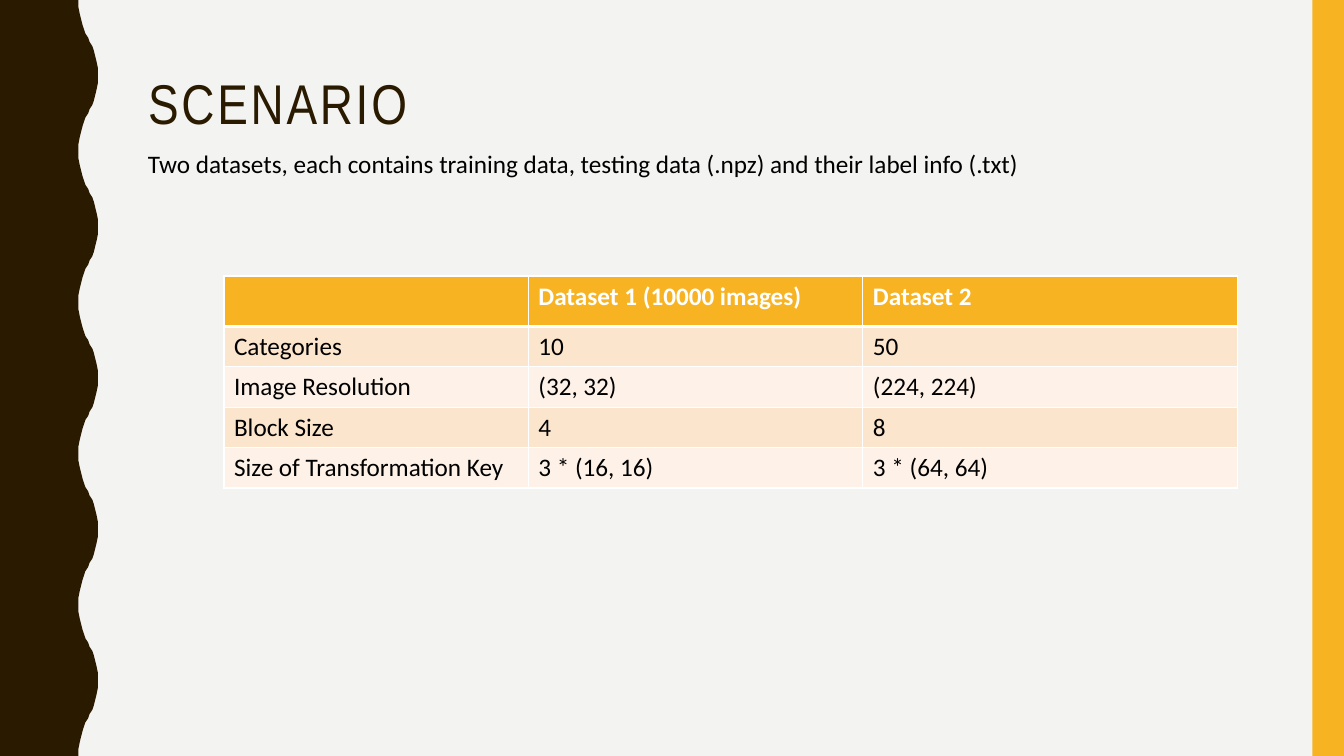
from lxml import etree
from pptx import Presentation
from pptx.dml.color import RGBColor
from pptx.enum import shapes, text
from pptx.oxml import ns
from pptx.util import Pt

TITLE = "SCENARIO"
SUBTITLE = ("Two datasets, each contains training data, testing data (.npz) "
            "and their label info (.txt)")
ROWS = [
    ("", "Dataset 1 (10000 images)", "Dataset 2"),
    ("Categories", "10", "50"),
    ("Image Resolution", "(32, 32)", "(224, 224)"),
    ("Block Size", "4", "8"),
    ("Size of Transformation Key", "3 * (16, 16)", "3 * (64, 64)"),
]

BACKGROUND = RGBColor(0xF3, 0xF3, 0xF2)
BROWN = RGBColor(0x2A, 0x1A, 0x00)
AMBER = RGBColor(0xF8, 0xB3, 0x23)
BANDS = RGBColor(0xFC, 0xE5, 0xCD), RGBColor(0xFE, 0xF2, 0xE8)
BLACK = RGBColor(0, 0, 0)
WHITE = RGBColor(0xFF, 0xFF, 0xFF)

WIDTH, HEIGHT = 960, 540
TEXT_LEFT, TEXT_WIDTH = 98.6, 777.6
TABLE_LEFT, TABLE_TOP = 160, 197.2
COL_WIDTHS = 217.4, 239, 267.8
ROW_HEIGHTS = [36] + [27.4] * 4
BAR_WIDTH = 22.5

# Half a wave as (x, y), from trough to crest; the other half mirrors it.
WAVE_LENGTH, WAVE_COUNT = 108, 5
HALF_WAVE = [(56, 0), (56.4, 5), (57, 10), (57.8, 14.4), (58.6, 18),
             (59.8, 21), (61.2, 24), (62.6, 27), (64.1, 30), (65.5, 33),
             (66.9, 36), (68.2, 39.6), (69.2, 44), (69.8, 49), (70, 54)]


def write(tf, content, font="Calibri", size=18, color=BLACK, bold=False,
          spacing=None, line_spacing=None):
    p = tf.paragraphs[0]
    p.alignment = text.PP_ALIGN.LEFT
    if line_spacing:
        p.line_spacing = line_spacing
    r = p.add_run()
    r.text = content
    r.font.name, r.font.size, r.font.bold = font, Pt(size), bold
    r.font.color.rgb = color
    if spacing:
        r.font._element.set("spc", str(spacing * 100))


def place(sp, left, top, width, height):
    sp.left, sp.top, sp.width, sp.height = map(Pt, (left, top, width, height))


def paint(sp, color):
    sp.shadow.inherit = False
    sp.fill.solid()
    sp.fill.fore_color.rgb = color
    sp.line.fill.background()


def add_wavy_edge(s):
    wave = HALF_WAVE + [(x, WAVE_LENGTH - y) for x, y in HALF_WAVE[-2:0:-1]]
    points = [(x, y + i * WAVE_LENGTH) for i in range(WAVE_COUNT) for x, y in wave]
    points += [(HALF_WAVE[0][0], HEIGHT), (0, HEIGHT)]
    builder = s.shapes.build_freeform(0, 0, scale=Pt(1))
    builder.add_line_segments(points, close=True)
    paint(builder.convert_to_shape(), BROWN)


def set_borders(cell, bottom=1):
    tc_pr = cell._tc.get_or_add_tcPr()
    widths = {"lnL": 1, "lnR": 1, "lnT": 1, "lnB": bottom}
    for i, (tag, width) in enumerate(widths.items()):
        ln = etree.Element(ns.qn("a:" + tag), w=str(Pt(width)))
        fill = etree.SubElement(ln, ns.qn("a:solidFill"))
        etree.SubElement(fill, ns.qn("a:srgbClr"), val=str(WHITE))
        tc_pr.insert(i, ln)


def add_dataset_table(s):
    frame = s.shapes.add_table(len(ROWS), len(COL_WIDTHS), Pt(TABLE_LEFT),
                               Pt(TABLE_TOP), Pt(sum(COL_WIDTHS)),
                               Pt(sum(ROW_HEIGHTS)))
    table = frame.table
    for column, width in zip(table.columns, COL_WIDTHS):
        column.width = Pt(width)
    for i, values in enumerate(ROWS):
        header = i == 0
        table.rows[i].height = Pt(ROW_HEIGHTS[i])
        for j, value in enumerate(values):
            cell = table.cell(i, j)
            cell.fill.solid()
            cell.fill.fore_color.rgb = AMBER if header else BANDS[(i - 1) % 2]
            set_borders(cell, bottom=3 if i == 0 else 1)
            if value:
                write(cell.text_frame, value, bold=header,
                      color=WHITE if header else BLACK)


def main():
    prs = Presentation()
    prs.slide_width, prs.slide_height = Pt(WIDTH), Pt(HEIGHT)
    s = prs.slides.add_slide(prs.slide_layouts[5])
    s.background.fill.solid()
    s.background.fill.fore_color.rgb = BACKGROUND

    add_wavy_edge(s)
    bar = s.shapes.add_shape(shapes.MSO_SHAPE.RECTANGLE, Pt(WIDTH - BAR_WIDTH), 0,
                             Pt(BAR_WIDTH), Pt(HEIGHT))
    paint(bar, AMBER)

    title = s.shapes.title
    place(title, TEXT_LEFT, 51.1, TEXT_WIDTH, 57.6)
    tf = title.text_frame
    tf.auto_size = text.MSO_AUTO_SIZE.NONE
    tf.vertical_anchor = text.MSO_ANCHOR.TOP
    write(tf, TITLE, font="Arial Narrow", size=40, color=BROWN, spacing=2,
          line_spacing=0.9)

    subtitle = s.shapes.add_textbox(0, 0, 0, 0)
    place(subtitle, TEXT_LEFT, 102.2, TEXT_WIDTH, 29)
    subtitle.text_frame.word_wrap = True
    subtitle.text_frame.auto_size = text.MSO_AUTO_SIZE.SHAPE_TO_FIT_TEXT
    write(subtitle.text_frame, SUBTITLE)

    add_dataset_table(s)
    prs.save("out.pptx")


if __name__ == "__main__":
    main()
